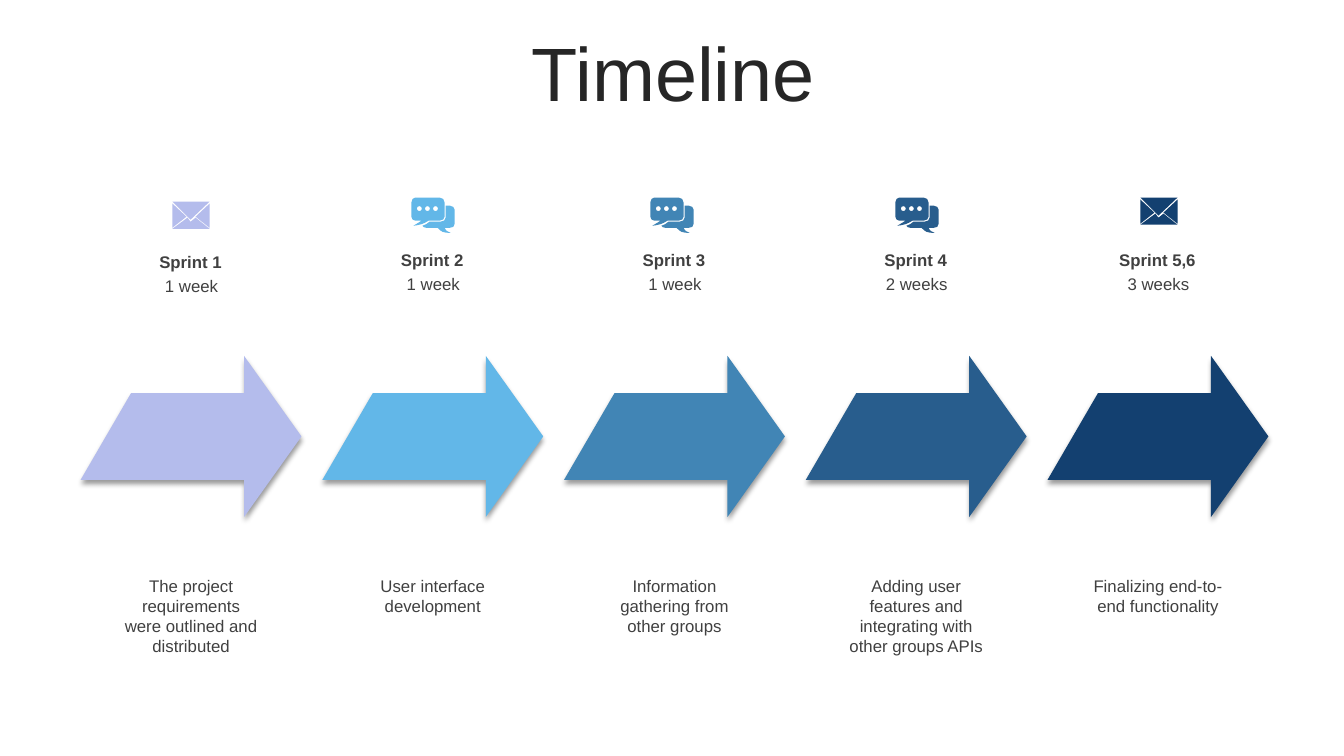
"""Build a sprint timeline slide with five coloured arrows."""

import dataclasses
import typing

import lxml.etree
import pptx
import pptx.dml.color
import pptx.enum.text
import pptx.oxml.ns
import pptx.presentation
import pptx.shapes.autoshape
import pptx.slide
import pptx.util

Inches = pptx.util.Inches
qn = pptx.oxml.ns.qn
Contour = list[tuple[float, ...]]

COLORS = {
    "title": "262626",
    "text": "404040",
    "lavender": "B4BCEC",
    "sky": "62B7E8",
    "steel": "4185B5",
    "ocean": "285D8D",
    "navy": "134070",
}
PITCH = (10.39 - 0.8) / 4
UNITS_PER_INCH = 1000


@dataclasses.dataclass(frozen=True)
class Sprint:
    """Content of one timeline column."""

    name: str
    duration: str
    description: str
    color: str
    icon: str
    icon_left: float
    icon_top: float = 1.96
    label_top: float = 2.43
    description_height: float = 0.5


SPRINTS = [
    Sprint("Sprint 1", "1 week", "The project requirements were outlined and distributed",
           "lavender", "envelope", 1.71, 2.0, 2.45, 0.91),
    Sprint("Sprint 2", "1 week", "User interface development", "sky", "chat", 4.08),
    Sprint("Sprint 3", "1 week", "Information gathering from other groups",
           "steel", "chat", 6.45, description_height=0.71),
    Sprint("Sprint 4", "2 weeks", "Adding user features and integrating with other groups APIs",
           "ocean", "chat", 8.88, description_height=0.91),
    Sprint("Sprint 5,6", "3 weeks", "Finalizing end-to-end functionality",
           "navy", "envelope", 11.31),
]


def dot(x: float, y: float, r: float) -> Contour:
    """Return a round contour made of four cubic steps."""
    k = r * 0.55
    return [(x, y - r),
            (x - k, y - r, x - r, y - k, x - r, y),
            (x - r, y + k, x - k, y + r, x, y + r),
            (x + k, y + r, x + r, y + k, x + r, y),
            (x + r, y - k, x + k, y - r, x, y - r)]


ARROW: list[Contour] = [
    [(1.62, 0), (2.19, 0.8), (1.62, 1.6), (1.62, 1.23), (0, 1.23), (0.5, 0.37), (1.62, 0.37)],
]
FRONT_BUBBLE: Contour = [
    (0.04, 0), (0.28, 0), (0.31, 0, 0.33, 0.02, 0.33, 0.05),
    (0.33, 0.19), (0.33, 0.21, 0.31, 0.23, 0.28, 0.23),
    (0.17, 0.23), (0.12, 0.26, 0.1, 0.27, 0.02, 0.28), (0.07, 0.25, 0.07, 0.25, 0.1, 0.23),
    (0.04, 0.23), (0.02, 0.23, 0, 0.21, 0, 0.19),
    (0, 0.05), (0, 0.02, 0.02, 0, 0.04, 0),
]
BACK_BUBBLE: Contour = [
    (0.34, 0.08), (0.38, 0.08), (0.41, 0.08, 0.43, 0.1, 0.43, 0.12),
    (0.43, 0.26), (0.43, 0.29, 0.41, 0.3, 0.38, 0.3),
    (0.33, 0.3), (0.34, 0.32, 0.34, 0.33, 0.39, 0.35), (0.31, 0.35, 0.3, 0.34, 0.26, 0.3),
    (0.15, 0.3), (0.13, 0.3, 0.11, 0.29, 0.11, 0.28), (0.14, 0.27, 0.16, 0.26, 0.18, 0.24),
    (0.29, 0.24), (0.32, 0.24, 0.34, 0.22, 0.34, 0.2), (0.34, 0.08),
]
ICONS: dict[str, list[Contour]] = {
    "envelope": [
        [(0.23, 0.16), (0.37, 0.27), (0, 0.27), (0.15, 0.16), (0.18, 0.2)],
        [(0.37, 0.02), (0.37, 0.26), (0.23, 0.15)],
        [(0, 0.02), (0.14, 0.15), (0, 0.26)],
        [(0, 0), (0.37, 0), (0.18, 0.18)],
    ],
    "chat": [*(dot(0.08 * column, 0.11, 0.025) for column in (3, 2, 1)),
             BACK_BUBBLE, FRONT_BUBBLE],
}


def bend_segments(shape: pptx.shapes.autoshape.Shape, contours: list[Contour]) -> None:
    """Turn the segments of six-number steps into cubic curves."""
    steps = [step for contour in contours for step in contour[1:]]
    for segment, step in zip(list(shape.element.iter(qn("a:lnTo"))), steps, strict=True):
        if len(step) == 2:
            continue
        segment.tag = qn("a:cubicBezTo")
        segment.remove(segment[0])
        for x, y in zip(step[::2], step[1::2]):
            lxml.etree.SubElement(segment, qn("a:pt"), x=str(round(x * UNITS_PER_INCH)),
                                  y=str(round(y * UNITS_PER_INCH)))


def draw_outline(slide: pptx.slide.Slide, contours: list[Contour], left: float, top: float,
                 color: str) -> pptx.shapes.autoshape.Shape:
    """Draw closed contours as one filled freeform."""
    scaled = [[(step[-2] * UNITS_PER_INCH, step[-1] * UNITS_PER_INCH) for step in contour]
              for contour in contours]
    builder = slide.shapes.build_freeform(*scaled[0][0], scale=Inches(1) / UNITS_PER_INCH)
    for index, points in enumerate(scaled):
        if index:
            builder.move_to(*points[0])
        builder.add_line_segments(points[1:], close=True)
    shape = builder.convert_to_shape(Inches(left), Inches(top))
    bend_segments(shape, contours)
    shape.fill.solid()
    shape.fill.fore_color.rgb = pptx.dml.color.RGBColor.from_string(COLORS[color])
    shape.line.fill.background()
    shape.shadow.inherit = False
    return shape


def add_drop_shadow(shape: pptx.shapes.autoshape.Shape) -> None:
    """Add a soft shadow below the shape."""
    effects = shape.element.spPr.find(qn("a:effectLst"))
    shadow = lxml.etree.SubElement(
        effects, qn("a:outerShdw"), blurRad=str(pptx.util.Pt(4)), dist=str(pptx.util.Pt(3)),
        dir="5400000", algn="t", rotWithShape="0")
    black = lxml.etree.SubElement(shadow, qn("a:srgbClr"), val="000000")
    lxml.etree.SubElement(black, qn("a:alpha"), val="40000")


def add_text(slide: pptx.slide.Slide, text: str, left: float, top: float, width: float,
             height: float, size: float = 12, color: str = "text",
             bold: bool = False) -> typing.Any:
    """Add a centred, wrapping text box and return its text frame."""
    box = slide.shapes.add_textbox(Inches(left), Inches(top), Inches(width), Inches(height))
    frame = box.text_frame
    frame.word_wrap = True
    frame.auto_size = pptx.enum.text.MSO_AUTO_SIZE.SHAPE_TO_FIT_TEXT
    paragraph = frame.paragraphs[0]
    paragraph.text = text
    paragraph.alignment = pptx.enum.text.PP_ALIGN.CENTER
    paragraph.font.name = "Arial"
    paragraph.font.size = pptx.util.Pt(size)
    paragraph.font.bold = bold
    paragraph.font.color.rgb = pptx.dml.color.RGBColor.from_string(COLORS[color])
    return frame


def draw_sprint(slide: pptx.slide.Slide, sprint: Sprint, offset: float) -> None:
    """Draw one column: arrow, labels, description and icon."""
    add_drop_shadow(draw_outline(slide, ARROW, 0.8 + offset, 3.53, sprint.color))
    add_text(slide, sprint.name, 1.19 + offset, sprint.label_top, 1.4, 0.3, bold=True)
    add_text(slide, sprint.duration, 1.2 + offset, sprint.label_top + 0.24, 1.4, 0.3)
    add_text(slide, sprint.description, 1.12 + offset, 5.66, 1.55, sprint.description_height)
    draw_outline(slide, ICONS[sprint.icon], sprint.icon_left, sprint.icon_top, sprint.color)


def main() -> None:
    """Create and save the presentation."""
    presentation = pptx.Presentation()
    presentation.slide_width = Inches(13.33)
    presentation.slide_height = Inches(7.5)
    slide = presentation.slides.add_slide(presentation.slide_layouts[6])
    title = add_text(slide, "Timeline", 0.35, 0.37, 12.66, 0.79, size=54, color="title")
    title.auto_size = pptx.enum.text.MSO_AUTO_SIZE.NONE
    title.vertical_anchor = pptx.enum.text.MSO_ANCHOR.MIDDLE
    title.paragraphs[0].line_spacing = 0.9
    for index, sprint in enumerate(SPRINTS):
        draw_sprint(slide, sprint, index * PITCH)
    presentation.save("out.pptx")


if __name__ == "__main__":
    main()
